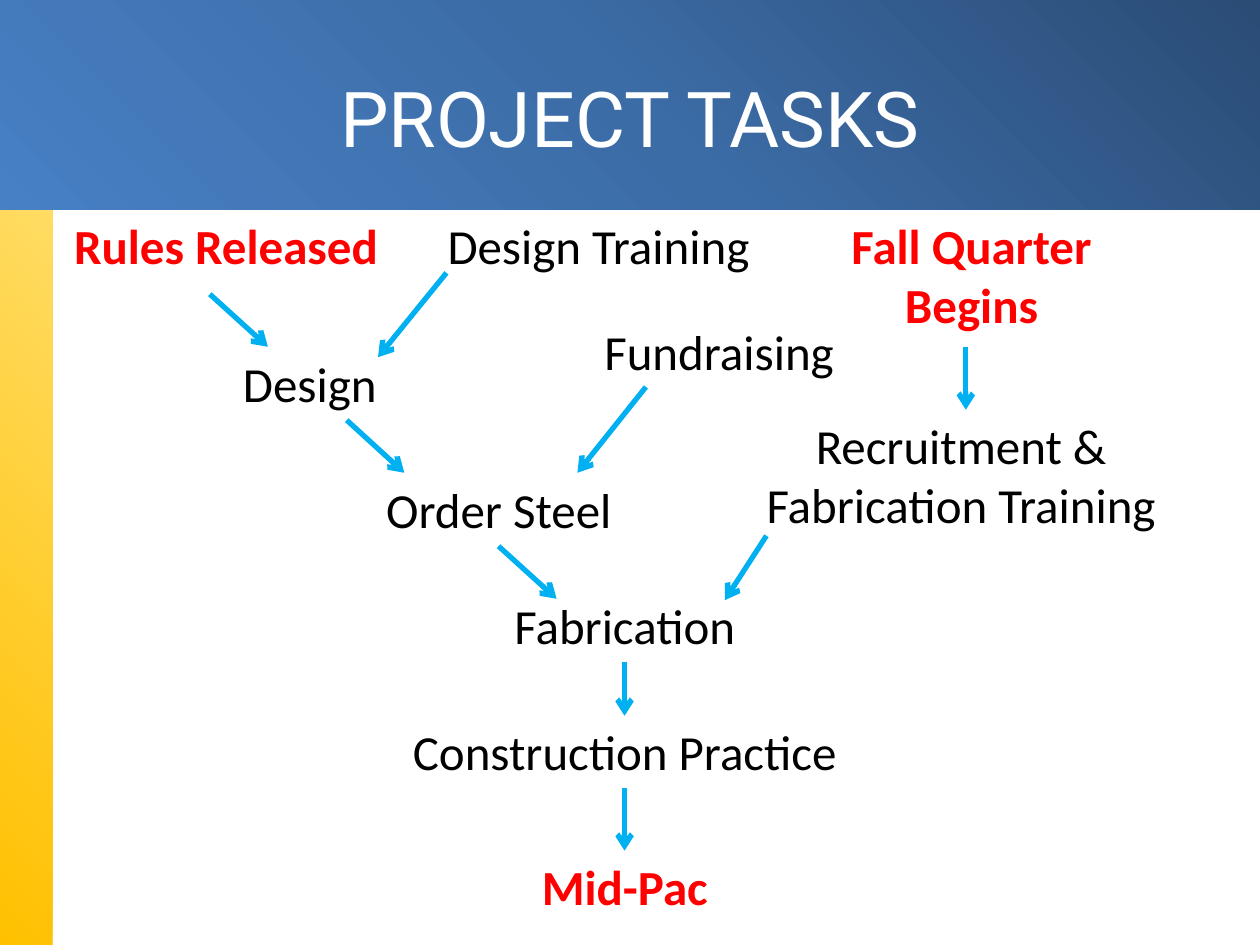
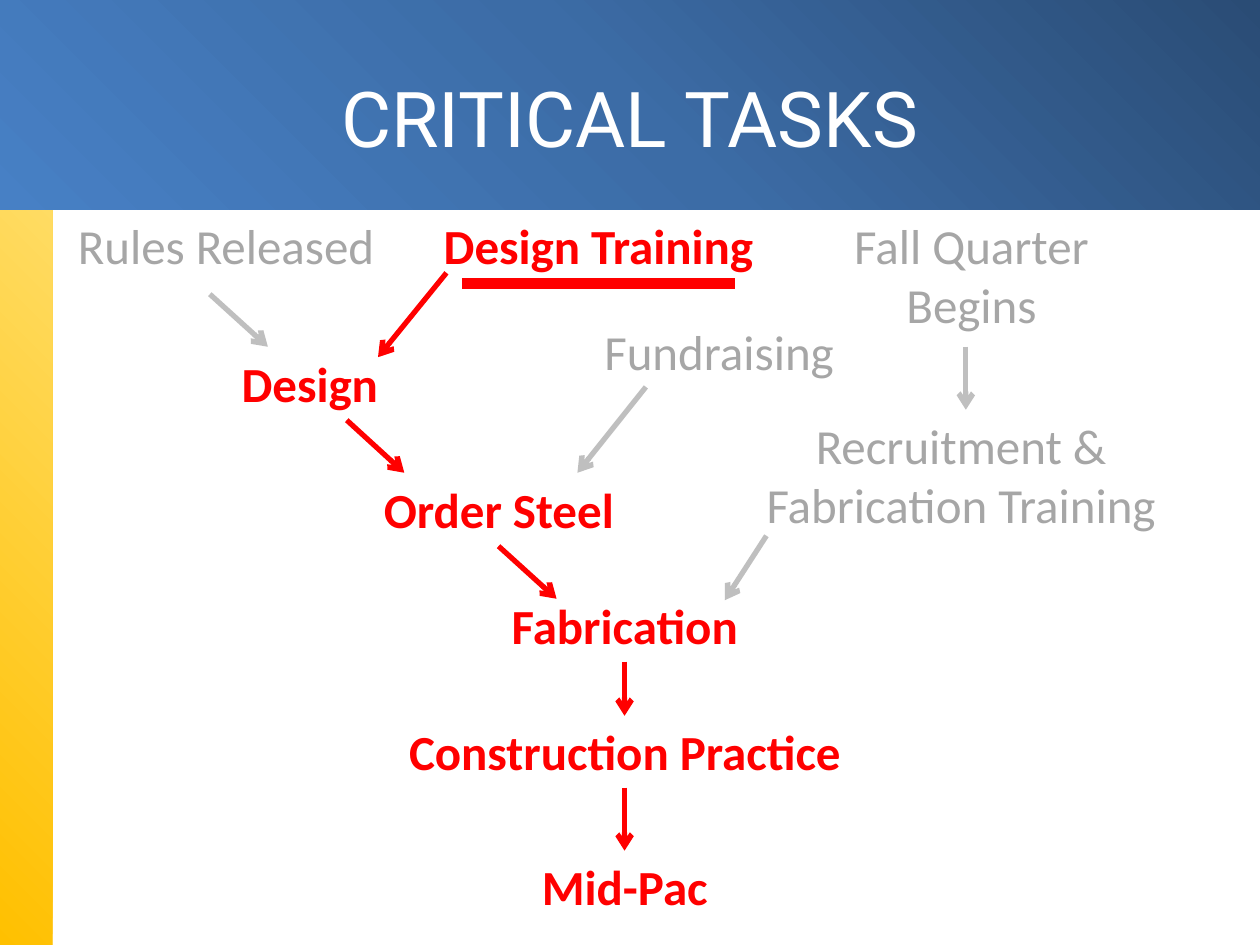
from collections import namedtuple
from lxml.etree import SubElement
from pptx import Presentation
from pptx.dml.color import RGBColor
from pptx.enum.shapes import MSO_CONNECTOR as Connector, MSO_SHAPE as Shape
from pptx.enum.text import MSO_ANCHOR as Anchor, MSO_AUTO_SIZE as AutoSize, PP_ALIGN as Align
from pptx.oxml.ns import qn
from pptx.util import Cm, Pt

COLORS = {
    "white": "FFFFFF", "black": "000000", "red": "FF0000", "sky": "00B0F0",
    "grey_text": "A6A6A6", "grey_line": "BFBFBF",
    "gold": "FFC000", "pale_gold": "FFE37D",
    "navy": "2A4C75", "mid_blue": "3C6CA6", "light_blue": "4780C5",
}
TITLE_FONT, BODY_FONT = "Roboto", "Calibri"
SLIDE_WIDTH, SLIDE_HEIGHT = 25.4, 19.05
BAND_HEIGHT, SIDEBAR_WIDTH = 4.23, 1.06
LINE_HEIGHT, TEXT_PADDING = 1.19, 0.26

Task = namedtuple("Task", "name left top width lines arrow")
TASKS = [
    Task("Rules Released", 0.85, 4.23, 7.41, 1, (4.23, 5.93, 5.4, 6.99)),
    Task("Design Training", 8.68, 4.23, 6.77, 1, (9, 5.5, 7.62, 7.2)),
    Task("Fall Quarter\nBegins", 15.88, 4.23, 7.41, 2, (19.47, 6.99, 19.47, 8.26)),
    Task("Design", 3.6, 7.01, 5.29, 1, (6.99, 8.47, 8.15, 9.53)),
    Task("Fundraising", 11.85, 6.35, 5.29, 1, (13.02, 7.8, 11.64, 9.53)),
    Task("Recruitment & Fabrication Training", 14.61, 8.26, 9.53, 2, (15.45, 10.8, 14.61, 12.1)),
    Task("Order Steel", 7.41, 9.55, 5.29, 1, (10.05, 11.01, 11.22, 12.07)),
    Task("Fabrication", 8.68, 11.89, 7.83, 1, (12.59, 13.34, 12.59, 14.43)),
    Task("Construction Practice", 7.83, 14.43, 9.53, 1, (12.59, 15.88, 12.59, 17.15)),
    Task("Mid-Pac", 7.83, 17.15, 9.53, 1, None),
]
MILESTONES = {"Rules Released", "Fall Quarter\nBegins", "Mid-Pac"}
CRITICAL = {"Design Training", "Design", "Order Steel", "Fabrication",
            "Construction Practice", "Mid-Pac"}


def rgb(name):
    return RGBColor.from_string(COLORS[name])


def add_span(para, text, font, size, color, bold=False):
    span = para.add_run()
    span.text = text
    span.font.name = font
    span.font.size = Pt(size)
    span.font.bold = bold
    span.font.color.rgb = rgb(color)


def add_band(page, width, height, angle, colors):
    band = page.shapes.add_shape(Shape.RECTANGLE, 0, 0, Cm(width), Cm(height))
    band.shadow.inherit = False
    band.line.fill.background()
    band.fill.gradient()
    band.fill.gradient_angle = 360 - angle
    stops = band._element.spPr.find(".//" + qn("a:gsLst"))
    stops.clear()
    for index, color in enumerate(colors):
        position = index * 100000 // (len(colors) - 1)
        stop = SubElement(stops, qn("a:gs"), pos=str(position))
        SubElement(stop, qn("a:srgbClr"), val=COLORS[color])
    return band


def share_bands(layout, page):
    bands = [
        add_band(page, SIDEBAR_WIDTH, SLIDE_HEIGHT, 315, ["gold", "pale_gold"]),
        add_band(page, SLIDE_WIDTH, BAND_HEIGHT, 135, ["navy", "mid_blue", "light_blue"]),
    ]
    for index, band in enumerate(bands):
        layout.shapes._spTree.insert(2 + index, band._element)


def set_title(page, text):
    title = page.shapes.title
    title.left, title.top, title.width, title.height = Cm(1.27), Cm(0.76), Cm(22.86), Cm(3.18)
    frame = title.text_frame
    frame.auto_size = AutoSize.NONE
    frame.vertical_anchor = Anchor.MIDDLE
    para = frame.paragraphs[0]
    para.alignment = Align.CENTER
    add_span(para, text, TITLE_FONT, 44, "white")


def add_task(page, task, color, bold):
    height = task.lines * LINE_HEIGHT + TEXT_PADDING
    box = page.shapes.add_textbox(Cm(task.left), Cm(task.top), Cm(task.width), Cm(height))
    frame = box.text_frame
    frame.word_wrap = True
    frame.auto_size = AutoSize.SHAPE_TO_FIT_TEXT
    for index, line in enumerate(task.name.split("\n")):
        para = frame.add_paragraph() if index else frame.paragraphs[0]
        para.alignment = Align.CENTER
        add_span(para, line, BODY_FONT, 28, color, bold)


def add_line(page, ends, color, width):
    line = page.shapes.add_connector(Connector.STRAIGHT, *[Cm(value) for value in ends])
    line.line.color.rgb = rgb(color)
    line.line.width = Pt(width)
    SubElement(line._element.spPr, qn("a:effectLst"))
    return line


def add_arrow(page, ends, color):
    arrow = add_line(page, ends, color, 3)
    SubElement(arrow.line._get_or_add_ln(), qn("a:tailEnd"), type="arrow")


def add_task_page(deck, layout, title, highlighted, text_color, arrow_colors):
    page = deck.slides.add_slide(layout)
    set_title(page, title)
    for task in TASKS:
        marked = task.name in highlighted
        add_task(page, task, "red" if marked else text_color, marked)
        if task.arrow:
            add_arrow(page, task.arrow, arrow_colors[marked])
    return page


def main():
    deck = Presentation()
    deck.slide_width, deck.slide_height = Cm(SLIDE_WIDTH), Cm(SLIDE_HEIGHT)
    layout = deck.slide_layouts.get_by_name("Title Only")
    project = add_task_page(deck, layout, "PROJECT TASKS", MILESTONES, "black",
                            {True: "sky", False: "sky"})
    share_bands(layout, project)
    critical = add_task_page(deck, layout, "CRITICAL TASKS", CRITICAL, "grey_text",
                             {True: "red", False: "grey_line"})
    add_line(critical, (9.31, 5.72, 14.82, 5.72), "red", 6)
    deck.save("out.pptx")


main()
